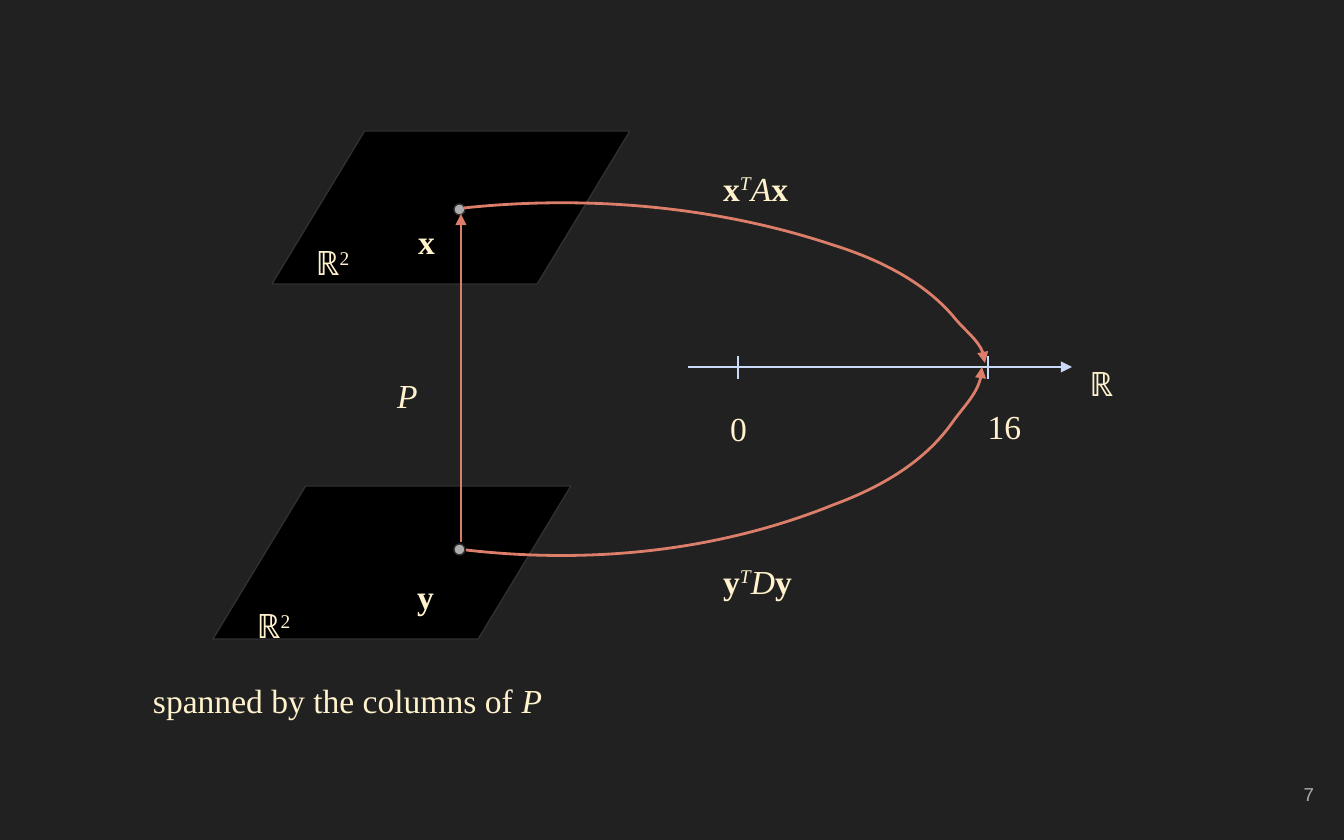
"""Build the slide showing the change of variable x = Py in a quadratic form."""
from typing import NamedTuple

from pptx import Presentation
from pptx.dml.color import RGBColor
from pptx.enum.shapes import MSO_CONNECTOR as Connector, MSO_SHAPE as Shape
from pptx.enum.text import MSO_ANCHOR as Anchor, PP_ALIGN as Align
from pptx.oxml.ns import qn
from pptx.oxml.xmlchemy import OxmlElement
from pptx.util import Emu, Pt

EMU_PER_PX = 914400 / 134.4
BACKGROUND, PLANE, OUTLINE, GREY = "212121", "000000", "303030", "ADADAD"
CREAM, CORAL, ICE = "FFF2CC", "DD7E6B", "C9DAF8"
BOLD, ITALIC = {"bold": True}, {"italic": True}


class Symbol(NamedTuple):
    text: str
    style: dict = {}
    raised: bool = False


class Label(NamedTuple):
    left: int
    top: int
    width: int
    height: int
    symbols: tuple[Symbol, ...]
    align: Align = Align.CENTER
    spacing: float = 1.5
    anchor: Anchor = Anchor.TOP
    size: int = 18
    font: str = "Times New Roman"
    color: str = CREAM


class Plane(NamedTuple):
    left: int
    top: int
    dot_top: int


class Segment(NamedTuple):
    start: tuple[int, int]
    end: tuple[int, int]
    color: str
    weight: float = 1.5
    arrow: bool = True


def px(value: int) -> Emu:
    """Turn pixels into EMU."""
    return Emu(round(value * EMU_PER_PX))


def rgb(color: str) -> RGBColor:
    """Turn a hex string into a colour."""
    return RGBColor.from_string(color)


def format_line(line, color: str, weight: float, arrow: bool = False) -> None:
    """Set colour and weight of a line, and an arrowhead at its end."""
    line.color.rgb = rgb(color)
    line.width = Pt(weight)
    if arrow:
        head = OxmlElement("a:tailEnd")
        head.set("type", "triangle")
        line._get_or_add_ln().append(head)


def draw_preset(shapes, kind: Shape, box: tuple[int, ...], fill: str):
    """Draw a filled preset shape with a thin outline."""
    shape = shapes.add_shape(kind, *map(px, box))
    shape.shadow.inherit = False
    shape.fill.solid()
    shape.fill.fore_color.rgb = rgb(fill)
    format_line(shape.line, OUTLINE, 0.75)
    return shape


def draw_plane(shapes, plane: Plane) -> None:
    """Draw a plane and the point lying in it."""
    sheet = draw_preset(shapes, Shape.PARALLELOGRAM, (plane.left, plane.top, 358, 153), PLANE)
    sheet.adjustments[0] = 0.606
    draw_preset(shapes, Shape.OVAL, (454, plane.dot_top, 11, 11), GREY)


def draw_segment(shapes, segment: Segment) -> None:
    """Draw a straight line or arrow."""
    connector = shapes.add_connector(
        Connector.STRAIGHT, *map(px, segment.start + segment.end))
    format_line(connector.line, segment.color, segment.weight, segment.arrow)
    connector._element.spPr.append(OxmlElement("a:effectLst"))


def draw_curve(shapes, points: tuple[tuple[int, int], ...]) -> None:
    """Draw a curved arrow from a start point and triples of Bézier points."""
    start, *controls = points
    builder = shapes.build_freeform(*start, scale=EMU_PER_PX)
    builder.add_line_segments(controls, close=False)
    curve = builder.convert_to_shape()
    outline = curve._element.xpath(".//a:path")[0]
    steps = outline.findall(qn("a:lnTo"))
    for first in range(0, len(steps), 3):
        bend = OxmlElement("a:cubicBezTo")
        for step in steps[first:first + 3]:
            bend.append(step[0])
            outline.remove(step)
        outline.append(bend)
    curve.shadow.inherit = False
    curve.fill.background()
    format_line(curve.line, CORAL, 1.5, arrow=True)


def draw_label(shapes, label: Label) -> None:
    """Write a label made of differently styled symbols."""
    frame = shapes.add_textbox(*map(px, label[:4])).text_frame
    margins = dict.fromkeys(
        ("margin_left", "margin_top", "margin_right", "margin_bottom"), Pt(7.2))
    for name, value in {**margins, "word_wrap": True, "vertical_anchor": label.anchor}.items():
        setattr(frame, name, value)
    paragraph = frame.paragraphs[0]
    paragraph.alignment = label.align
    paragraph.line_spacing = label.spacing
    for symbol in label.symbols:
        run = paragraph.add_run()
        run.text = symbol.text
        run.font.color.rgb = rgb(label.color)
        for name, value in {"name": label.font, "size": Pt(label.size), **symbol.style}.items():
            setattr(run.font, name, value)
        if symbol.raised:
            run._r.get_or_add_rPr().set("baseline", "30000")


def quadratic_form(top: int, vector: str, matrix: str) -> Label:
    """Make the label of a quadratic form."""
    symbols = (Symbol(vector, BOLD), Symbol("T", ITALIC, True),
               Symbol(matrix, ITALIC), Symbol(vector, BOLD))
    return Label(710, top, 109, 93, symbols, Align.LEFT, 1.15)


REALS = Symbol("ℝ")
REAL_PLANE = (REALS, Symbol("2", raised=True))
PLANES = (Plane(272, 131, 204), Plane(213, 486, 544))
SEGMENTS = (
    Segment((461, 542), (461, 214), CORAL),
    Segment((688, 367), (1072, 367), ICE),
    *(Segment((x, 356), (x, 379), ICE, 0.75, False) for x in (738, 988)),
)
CURVES = (
    ((464, 208), (586, 195), (716, 206), (833, 245), (878, 259), (923, 281),
     (953, 316), (965, 331), (985, 344), (985, 363)),
    ((466, 550), (589, 564), (716, 552), (833, 505), (876, 489), (922, 465),
     (952, 423), (964, 406), (982, 390), (982, 367)),
)
LABELS = (
    Label(286, 208, 93, 75, REAL_PLANE),
    Label(380, 187, 93, 75, (Symbol("x", BOLD),)),
    Label(227, 571, 93, 75, REAL_PLANE),
    Label(130, 646, 435, 75, (Symbol("spanned by the columns of "), Symbol("P", ITALIC))),
    Label(379, 542, 93, 75, (Symbol("y", BOLD),)),
    Label(361, 341, 93, 65, (Symbol("P", ITALIC),)),
    Label(1055, 329, 93, 75, (REALS,)),
    Label(698, 374, 81, 75, (Symbol("0"),)),
    Label(964, 372, 81, 75, (Symbol("16"),)),
    quadratic_form(148, "x", "A"),
    quadratic_form(541, "y", "D"),
    Label(1246, 762, 81, 65, (Symbol("7"),), Align.RIGHT, 1.0, Anchor.MIDDLE, 10, "Arial", GREY),
)


def main() -> None:
    """Draw the slide and save it."""
    deck = Presentation()
    deck.slide_width, deck.slide_height = px(1344), px(840)
    slide = deck.slides.add_slide(deck.slide_layouts[6])
    slide.background.fill.solid()
    slide.background.fill.fore_color.rgb = rgb(BACKGROUND)
    for draw, items in (
        (draw_plane, PLANES),
        (draw_segment, SEGMENTS),
        (draw_curve, CURVES),
        (draw_label, LABELS),
    ):
        for item in items:
            draw(slide.shapes, item)
    deck.save("out.pptx")


if __name__ == "__main__":
    main()
